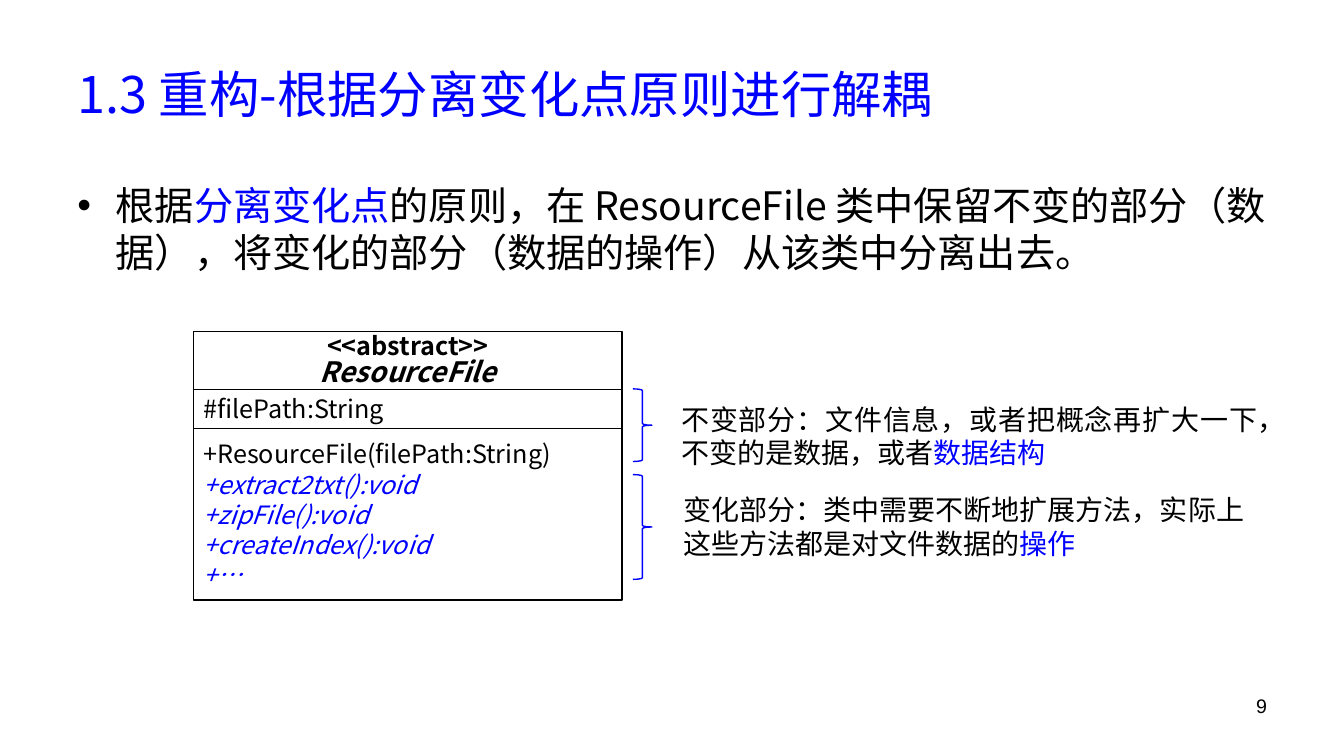
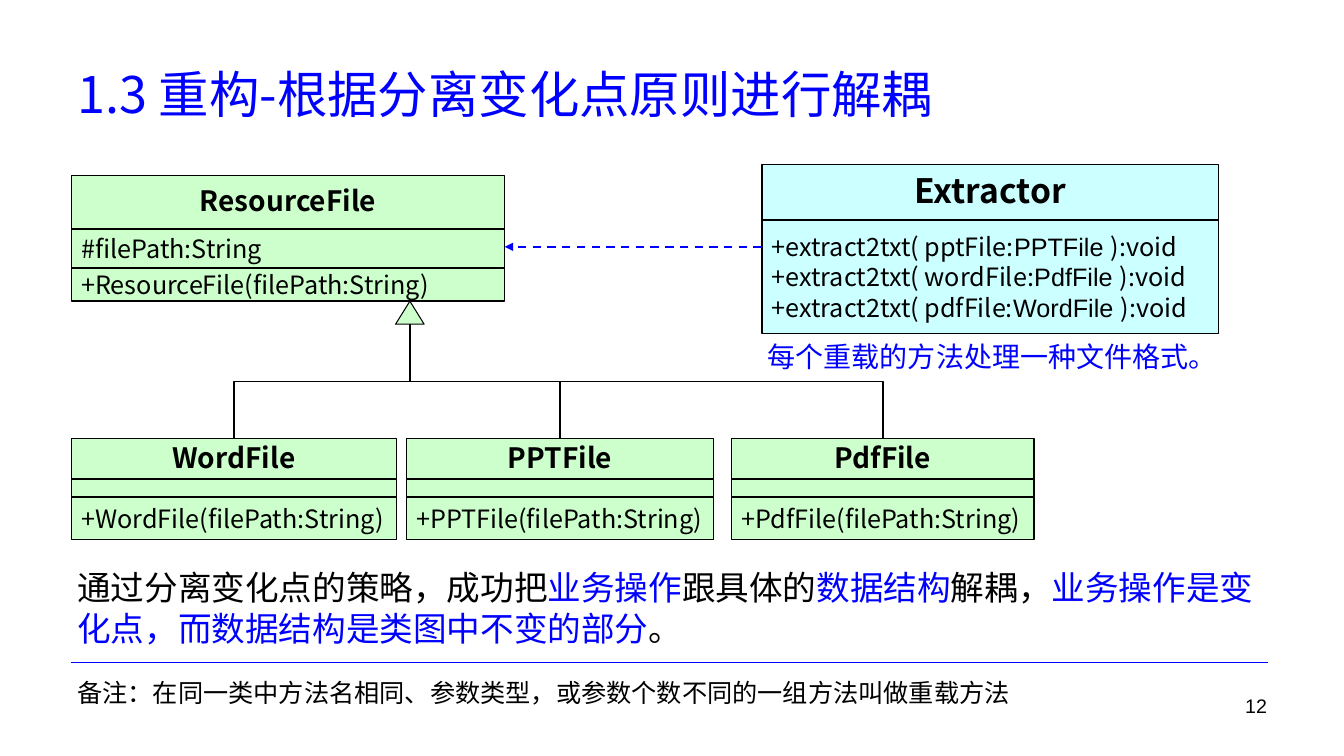
import pptx
import pptx.util
import pptx.dml.color
import pptx.enum.dml
import pptx.enum.shapes
import pptx.enum.text
import pptx.oxml
import pptx.oxml.ns
from lxml import etree

Cm = pptx.util.Cm
Pt = pptx.util.Pt
qn = pptx.oxml.ns.qn
RGBColor = pptx.dml.color.RGBColor
Shape = pptx.enum.shapes.MSO_SHAPE
Link = pptx.enum.shapes.MSO_CONNECTOR
Align = pptx.enum.text.PP_ALIGN
Anchor = pptx.enum.text.MSO_ANCHOR

BLACK = RGBColor(0x00, 0x00, 0x00)
BLUE = RGBColor(0x00, 0x00, 0xFF)
WHITE = RGBColor(0xFF, 0xFF, 0xFF)
GREEN = RGBColor(0xCC, 0xFF, 0xCC)
CYAN = RGBColor(0xCC, 0xFF, 0xFF)
FACE = "Noto Sans CJK SC"
TITLE = "1.3 重构-根据分离变化点原则进行解耦"


def tint(font):
    font.color.rgb = BLUE


def slant(font):
    font.color.rgb = BLUE
    font.italic = True


def name_run(font):
    font.size = Pt(20)
    font.italic = True


def plain(font):
    font.name = "Arial"


def write(frame, lines, size=18, color=BLACK, align=Align.LEFT, bold=False,
          mark=tint, face=FACE, gap=1.2, bullet=None, anchor=Anchor.TOP):
    frame.word_wrap = True
    frame.auto_size = pptx.enum.text.MSO_AUTO_SIZE.NONE
    frame.vertical_anchor = anchor
    for index, line in enumerate(lines):
        para = frame.paragraphs[0] if index == 0 else frame.add_paragraph()
        para.alignment = align
        if gap:
            para.line_spacing = Pt(round(size * gap, 1))
        props = para._p.get_or_add_pPr()
        if bullet:
            props.set("marL", str(Cm(0.97)))
            props.set("indent", str(-Cm(0.97)))
            etree.SubElement(props, qn("a:buFont")).set("typeface", "Arial")
            etree.SubElement(props, qn("a:buChar")).set("char", bullet)
        font = para.font
        font.name = face
        font.size = Pt(size)
        font.bold = bold
        font.color.rgb = color
        east = etree.Element(qn("a:ea"))
        east.set("typeface", face)
        props.find(qn("a:defRPr")).find(qn("a:latin")).addnext(east)
        for turn, text in enumerate(line.split("|")):
            if text:
                run = para.add_run()
                run.text = text
                if turn % 2:
                    mark(run.font)


def add_text(slide, box, lines, **style):
    area = slide.shapes.add_textbox(*map(Cm, box))
    write(area.text_frame, lines, **style)


def add_form(slide, kind, box, fill=None, line=BLACK, width=1):
    form = slide.shapes.add_shape(kind, *map(Cm, box))
    form.shadow.inherit = False
    if fill is None:
        form.fill.background()
    else:
        form.fill.solid()
        form.fill.fore_color.rgb = fill
    form.line.color.rgb = line
    form.line.width = Pt(width)
    return form


def add_link(slide, kind, start, end, color=BLACK, width=1, dash=False):
    link = slide.shapes.add_connector(kind, *map(Cm, start + end))
    link.line.color.rgb = color
    link.line.width = Pt(width)
    props = link.element.spPr
    if dash:
        link.line.dash_style = pptx.enum.dml.MSO_LINE.DASH
        tail = etree.SubElement(props.find(qn("a:ln")), qn("a:tailEnd"))
        tail.set("type", "triangle")
    etree.SubElement(props, qn("a:effectLst"))
    return link


def add_branch(slide, start, end):
    mid_x = (start[0] + end[0]) / 2
    mid_y = (start[1] + end[1]) / 2
    rise = (start[1] - end[1]) / 2
    run = (end[0] - start[0]) / 2
    link = add_link(slide, Link.ELBOW, (mid_x - rise, mid_y - run),
                    (mid_x + rise, mid_y + run))
    link.element.spPr.find(qn("a:xfrm")).set("rot", "16200000")


def add_class(slide, left, top, width, fill, rows):
    for height, lines, style in rows:
        cell = add_form(slide, Shape.RECTANGLE, (left, top, width, height), fill)
        if lines:
            write(cell.text_frame, lines, anchor=Anchor.MIDDLE, **style)
        top += height


def head(size=20, **more):
    return dict(size=size, bold=True, align=Align.CENTER, gap=1.08, **more)


def add_page(deck, number):
    slide = deck.slides.add_slide(deck.slide_layouts[5])
    title = slide.shapes.title
    title.left, title.top, title.width, title.height = map(
        Cm, (1.7, 0.76, 30.48, 3.18))
    write(title.text_frame, [TITLE], size=36, color=BLUE, gap=None,
          anchor=Anchor.MIDDLE)
    add_text(slide, (24.28, 17.35, 7.9, 1.32), [number], size=14,
             face="Arial", align=Align.RIGHT, gap=None)
    return slide


def add_note(slide, left, top, height, box, text, align=Align.LEFT):
    add_form(slide, Shape.RIGHT_BRACE, (left, top, 0.48, height), line=BLUE)
    add_text(slide, box, [text], size=20, align=align)


def split_page(deck):
    slide = add_page(deck, "9")
    add_text(slide, (1.7, 4.45, 30.48, 3), [
        "根据|分离变化点|的原则，在 ResourceFile 类中保留不变的部分（数据），"
        "将变化的部分（数据的操作）从该类中分离出去。"], size=28, bullet="•")
    add_class(slide, 4.88, 8.36, 10.8, WHITE, [
        (1.45, ["<<abstract>>", "|ResourceFile"], head(18, mark=name_run)),
        (0.99, ["#filePath:String"], {}),
        (4.32, ["+ResourceFile(filePath:String)", "|+extract2txt():void",
                "|+zipFile():void", "|+createIndex():void", "|+…"],
         dict(mark=slant)),
    ])
    add_note(slide, 15.95, 9.8, 1.83, (16.92, 10.01, 15.04, 1.96),
             "不变部分：文件信息，或者把概念再扩大一下，"
             "不变的是数据，或者|数据结构", Align.JUSTIFY)
    add_note(slide, 15.95, 11.96, 2.64, (16.97, 12.29, 14.96, 1.96),
             "变化部分：类中需要不断地扩展方法，"
             "实际上这些方法都是对文件数据的|操作")


def add_tree(slide, left, top):
    base = top + 3.17
    peak = left + 8.53
    add_class(slide, left, top, 10.92, GREEN, [
        (1.35, ["ResourceFile"], head()),
        (0.98, ["#filePath:String"], {}),
        (0.84, ["+ResourceFile(filePath:String)"], {}),
    ])
    add_form(slide, Shape.ISOSCELES_TRIANGLE, (peak - 0.36, base, 0.72, 0.58),
             GREEN, width=0.75)
    floor = top + 6.63
    for name, shift, width in (("WordFile", 0, 8.19), ("PPTFile", 8.44, 7.75),
                               ("PdfFile", 16.64, 7.62)):
        add_class(slide, left + shift, floor, width, GREEN, [
            (1.02, [name], head()),
            (0.45, [], {}),
            (1.07, [f"+{name}(filePath:String)"], {}),
        ])
        add_branch(slide, (left + shift + width / 2, floor),
                   (peak, base + 0.58))


def add_user(slide, left, top):
    calls = (("ppt", "PPTFile"), ("word", "PdfFile"), ("pdf", "WordFile"))
    add_class(slide, left, top, 11.51, CYAN, [
        (1.4, ["Extractor"], head(24)),
        (2.87, [f"+extract2txt( {key}File:|{kind} |):void"
                for key, kind in calls], dict(mark=plain)),
    ])
    add_text(slide, (left - 0.1, top + 4.24, 12.85, 1.19),
             ["每个重载的方法处理一种文件格式。"], size=20, color=BLUE,
             anchor=Anchor.MIDDLE)


def result_page(deck):
    slide = add_page(deck, "12")
    add_tree(slide, 1.8, 4.42)
    add_user(slide, 19.2, 4.14)
    add_link(slide, Link.STRAIGHT, (19.2, 6.22), (12.72, 6.22), BLUE, 1.5, True)
    add_text(slide, (1.7, 14.17, 30.25, 2.31), [
        "通过分离变化点的策略，成功把|业务操作|跟具体的|数据结构|解耦，"
        "|业务操作是变化点，而数据结构是类图中不变的部分|。"], size=24)
    add_link(slide, Link.STRAIGHT, (1.8, 16.7), (31.95, 16.7), BLUE)
    add_text(slide, (1.7, 16.94, 29.59, 1.02), [
        "备注：在同一类中方法名相同、参数类型，"
        "或参数个数不同的一组方法叫做重载方法"])


def main():
    deck = pptx.Presentation()
    deck.slide_width = Cm(33.87)
    deck.slide_height = Cm(19.05)
    split_page(deck)
    result_page(deck)
    deck.save("out.pptx")


if __name__ == "__main__":
    main()
